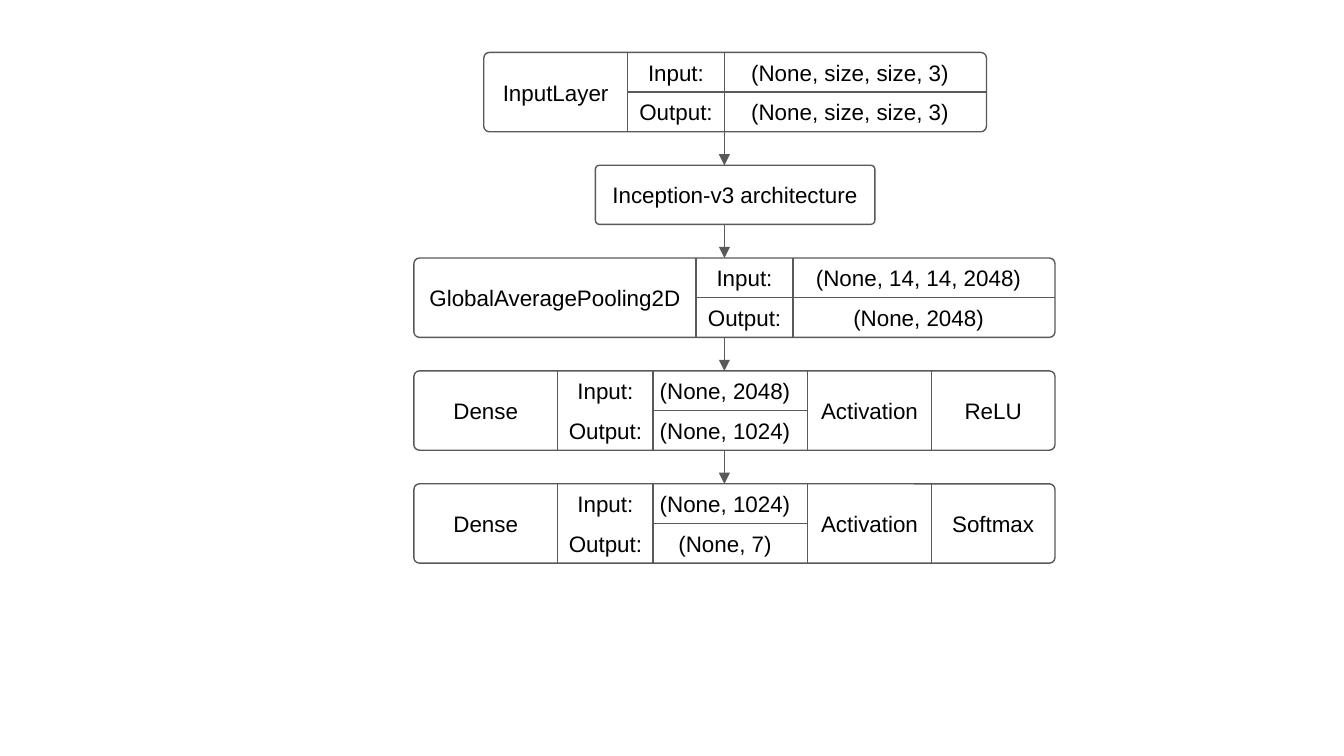
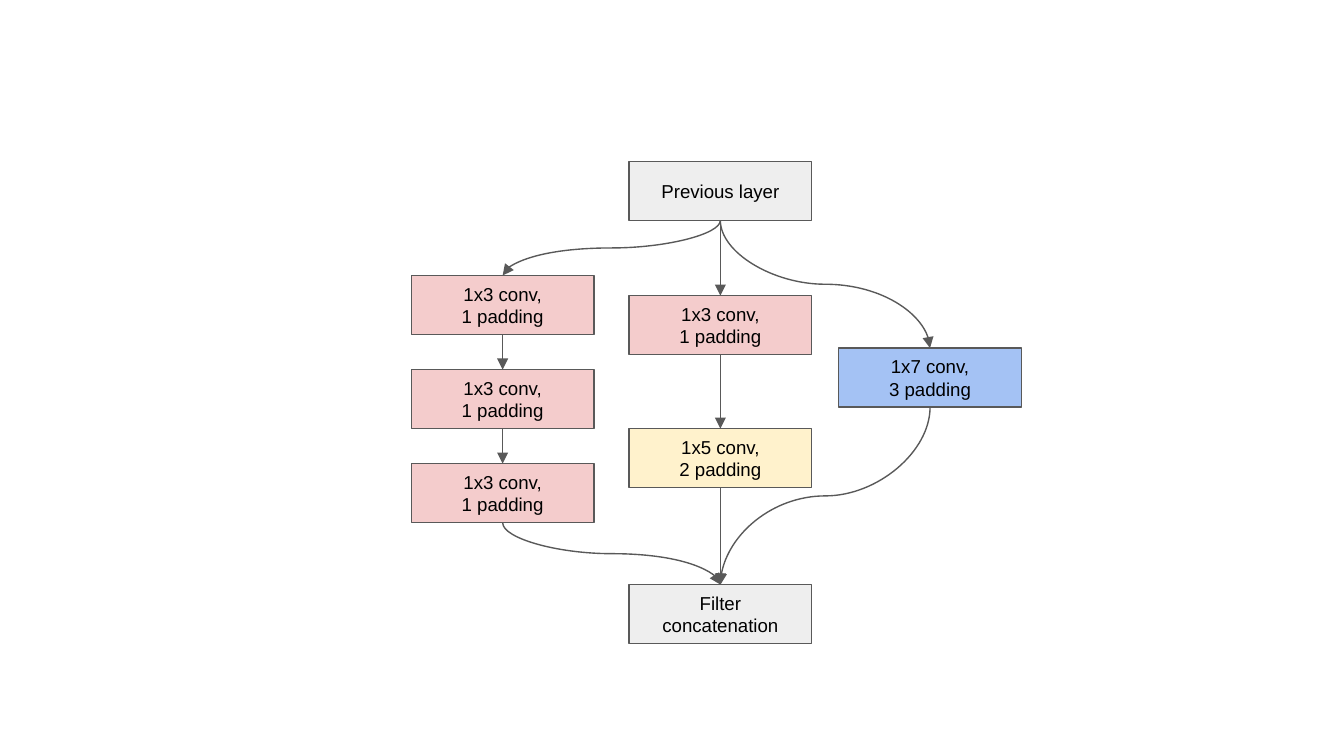
from pptx import Presentation
from pptx.dml.color import RGBColor
from pptx.enum.shapes import MSO_CONNECTOR, MSO_SHAPE
from pptx.enum.text import MSO_ANCHOR, PP_ALIGN
from pptx.oxml.ns import qn
from pptx.oxml.xmlchemy import OxmlElement
from pptx.util import Inches, Pt

WHITE = RGBColor(0xFF, 0xFF, 0xFF)
BLACK = RGBColor(0x00, 0x00, 0x00)
GRAY = RGBColor(0x59, 0x59, 0x59)
LIGHT_GRAY = RGBColor(0xEE, 0xEE, 0xEE)
PINK = RGBColor(0xF4, 0xCC, 0xCC)
YELLOW = RGBColor(0xFF, 0xF2, 0xCC)
BLUE = RGBColor(0xA4, 0xC2, 0xF4)

SLIDE_WIDTH = 10
SLIDE_HEIGHT = SLIDE_WIDTH * 9 / 16
FONT_FORMAT = {"name": "Arial"}
LINE_WIDTH = Pt(0.75)
INSET = 0.1

# Network layers, from top to bottom; the widths are those of the cells in a row
LAYERS = [
    {"name": "InputLayer", "left": 3.6, "widths": [1.07, 0.72, 1.95],
     "values": ["(None, size, size, 3)", "(None, size, size, 3)"]},
    {"name": "Inception-v3 architecture", "left": 4.43, "widths": [2.08]},
    {"name": "GlobalAveragePooling2D", "left": 3.08, "widths": [2.1, 0.72, 1.95],
     "values": ["(None, 14, 14, 2048)", "(None, 2048)"]},
    {"name": "Dense", "left": 3.08, "widths": [1.07, 0.71, 1.15, 0.92, 0.92],
     "values": ["(None, 2048)", "(None, 1024)"], "activation": "ReLU"},
    {"name": "Dense", "left": 3.08, "widths": [1.07, 0.71, 1.15, 0.92, 0.92],
     "values": ["(None, 1024)", "(None, 7)"], "activation": "Softmax"},
]
LAYERS_TOP = 0.39
LAYER_GAP = 0.25
ROW_HEIGHT = 0.59
SINGLE_HEIGHT = 0.44
CELL_TEXT_HEIGHT = 0.38
ARROW_X = 5.39

# Convolution block: key -> (lines, column, top, fill)
BLOCK_COLUMNS = [3.06, 4.68, 6.24]
BLOCK_WIDTH, BLOCK_HEIGHT = 1.36, 0.44
CONV_3 = ["1x3 conv,", "1 padding"]
BLOCKS = {
    "previous": (["Previous layer"], 1, 1.2, LIGHT_GRAY),
    "left 1": (CONV_3, 0, 2.05, PINK),
    "left 2": (CONV_3, 0, 2.75, PINK),
    "left 3": (CONV_3, 0, 3.45, PINK),
    "middle 1": (CONV_3, 1, 2.2, PINK),
    "middle 2": (["1x5 conv,", "2 padding"], 1, 3.19, YELLOW),
    "right": (["1x7 conv,", "3 padding"], 2, 2.59, BLUE),
    "concatenation": (["Filter concatenation"], 1, 4.35, LIGHT_GRAY),
}
BRANCHES = [["left 1", "left 2", "left 3"], ["middle 1", "middle 2"], ["right"]]


def set_format(target, values):
    for name, value in values.items():
        setattr(target, name, value)


def write(shape, lines, size, left=INSET, right=INSET, vertical=INSET):
    """Write centred lines into a shape, with insets in inches."""
    frame = shape.text_frame
    set_format(frame, {
        "word_wrap": True, "vertical_anchor": MSO_ANCHOR.MIDDLE,
        "margin_left": Inches(left), "margin_right": Inches(right),
        "margin_top": Inches(vertical), "margin_bottom": Inches(vertical)})
    frame.text = "\n".join(lines)
    for paragraph in frame.paragraphs:
        paragraph.alignment = PP_ALIGN.CENTER
        set_format(paragraph.font, {**FONT_FORMAT, "size": Pt(size)})
        paragraph.font.color.rgb = BLACK


def set_outline(shape):
    shape.line.color.rgb = GRAY
    shape.line.width = LINE_WIDTH


def add_box(slide, kind, left, top, width, height, fill):
    box = slide.shapes.add_shape(kind, *map(Inches, (left, top, width, height)))
    box.shadow.inherit = False
    box.fill.solid()
    box.fill.fore_color.rgb = fill
    set_outline(box)
    return box


def add_line(slide, start, end, arrow=False, kind=MSO_CONNECTOR.STRAIGHT):
    line = slide.shapes.add_connector(kind, *map(Inches, (*start, *end)))
    set_outline(line)
    properties = line.element.spPr
    if arrow:
        tail = OxmlElement("a:tailEnd")
        tail.set("type", "triangle")
        properties.find(qn("a:ln")).append(tail)
    properties.append(OxmlElement("a:effectLst"))
    return line


def add_cell(slide, text, left, center_y, width, right=0):
    cell = slide.shapes.add_textbox(*map(Inches, (
        left, center_y - CELL_TEXT_HEIGHT / 2, width, CELL_TEXT_HEIGHT)))
    write(cell, [text], 12, left=0, right=right, vertical=0)


def add_layer(slide, layer, top, height):
    widths = layer["widths"]
    edges = [layer["left"] + sum(widths[:index]) for index in range(len(widths) + 1)]
    box = add_box(slide, MSO_SHAPE.ROUNDED_RECTANGLE, edges[0], top,
                  sum(widths), height, WHITE)
    box.adjustments[0] = 0.07
    if len(widths) == 1:
        write(box, [layer["name"]], 12)
        return
    write(box, [layer["name"]], 12, left=0, right=sum(widths[1:]))

    for x in edges[1:-1]:
        add_line(slide, (x, top), (x, top + height))
    middle = top + height / 2
    split_from = 2 if "activation" in layer else 1
    add_line(slide, (edges[split_from], middle), (edges[3], middle))

    for index, (label, value) in enumerate(zip(["Input:", "Output:"], layer["values"])):
        center_y = top + height * (1 + 2 * index) / 4
        add_cell(slide, label, edges[1], center_y, widths[1])
        add_cell(slide, value, edges[2], center_y, widths[2], right=0.08)
    if "activation" in layer:
        for index, text in enumerate(["Activation", layer["activation"]], start=3):
            add_cell(slide, text, edges[index], middle, widths[index])


def build_network(slide):
    top = LAYERS_TOP
    for layer in LAYERS:
        if layer is not LAYERS[0]:
            add_line(slide, (ARROW_X, top - LAYER_GAP), (ARROW_X, top), arrow=True)
        height = SINGLE_HEIGHT if len(layer["widths"]) == 1 else ROW_HEIGHT
        add_layer(slide, layer, top, height)
        top += height + LAYER_GAP


def connect(slide, boxes, source, target):
    """Lead an arrow from the bottom of one block to the top of another."""
    (x1, y1), (x2, y2) = [
        (BLOCK_COLUMNS[BLOCKS[key][1]] + BLOCK_WIDTH / 2, BLOCKS[key][2])
        for key in (source, target)]
    y1 += BLOCK_HEIGHT
    if x1 == x2:
        arrow = add_line(slide, (x1, y1), (x2, y2), arrow=True)
        arrow.begin_connect(boxes[source], 2)
        arrow.end_connect(boxes[target], 0)
        return
    # A curve leaves sideways, so it is laid out flat and then turned to run down
    center_x, center_y = (x1 + x2) / 2, (y1 + y2) / 2
    side = 1 if x2 > x1 else -1
    along, across = side * (y2 - y1) / 2, abs(x2 - x1) / 2
    curve = add_line(slide, (center_x + along, center_y - across),
                     (center_x - along, center_y + across),
                     arrow=True, kind=MSO_CONNECTOR.CURVE)
    curve.rotation = 270 if side > 0 else 90


def build_convolutions(slide):
    boxes = {}
    for key, (lines, column, top, fill) in BLOCKS.items():
        boxes[key] = add_box(slide, MSO_SHAPE.RECTANGLE, BLOCK_COLUMNS[column], top,
                             BLOCK_WIDTH, BLOCK_HEIGHT, fill)
        write(boxes[key], lines, 10)
    for branch in BRANCHES:
        chain = ["previous", *branch, "concatenation"]
        for source, target in zip(chain, chain[1:]):
            connect(slide, boxes, source, target)


def main():
    presentation = Presentation()
    presentation.slide_width = Inches(SLIDE_WIDTH)
    presentation.slide_height = Inches(SLIDE_HEIGHT)
    for build in (build_network, build_convolutions):
        build(presentation.slides.add_slide(presentation.slide_layouts[6]))
    presentation.save("out.pptx")


if __name__ == "__main__":
    main()
